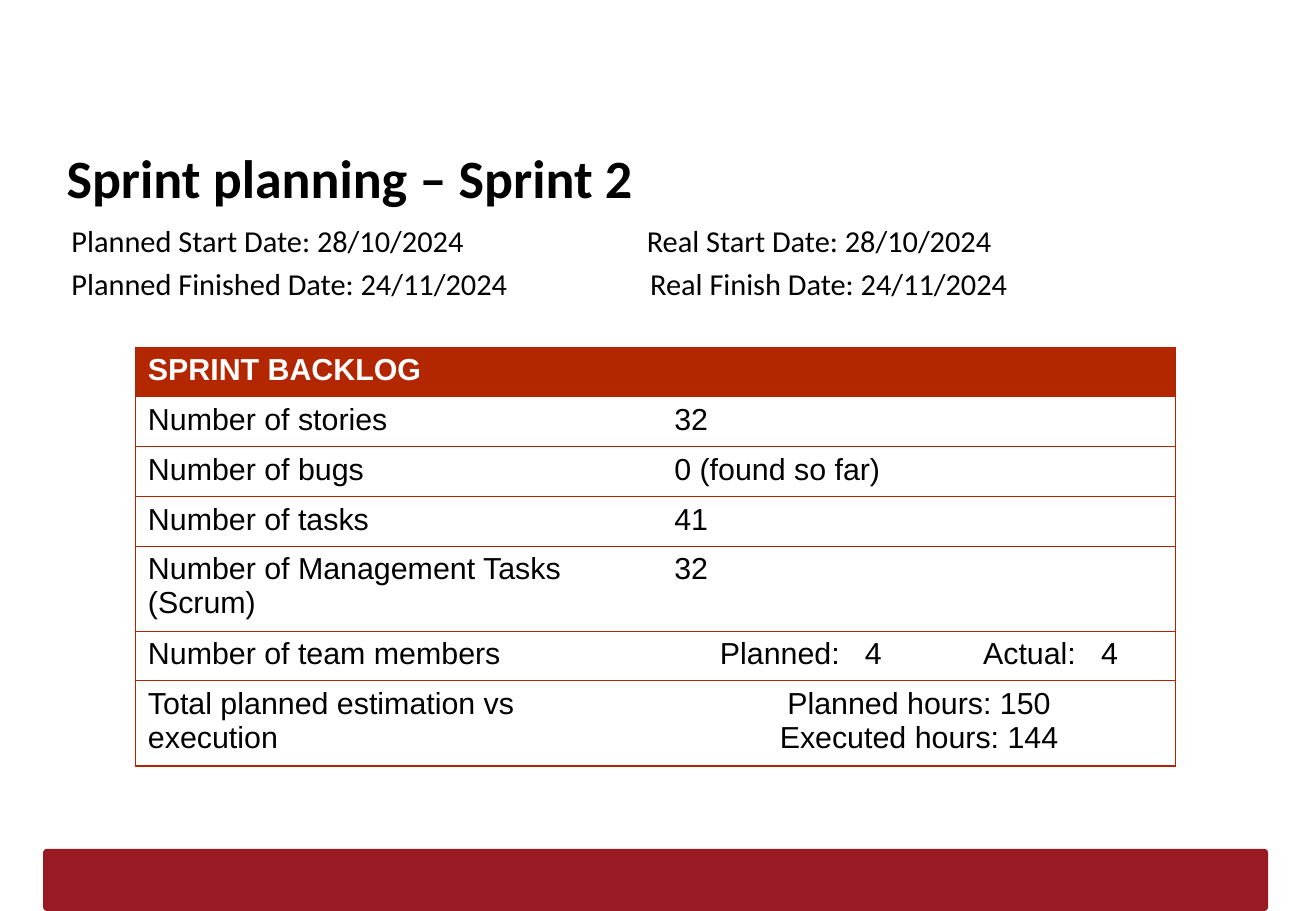
from lxml.etree import SubElement
from pptx import Presentation
from pptx.dml.color import RGBColor
from pptx.enum.shapes import MSO_SHAPE
from pptx.enum.text import MSO_ANCHOR, PP_ALIGN
from pptx.oxml.ns import qn
from pptx.util import Pt

TITLE = "Sprint planning – Sprint 2"
DATES = [
    ("Planned Start Date: 28/10/2024\tReal Start Date: 28/10/2024", [341]),
    ("Planned Finished Date: 24/11/2024\tReal Finish Date: 24/11/2024", [343]),
]
MEMBER_TABS = [27, 113, 183, 253]
BACKLOG = [
    ("SPRINT BACKLOG", []),
    ("Number of stories", ["32"]),
    ("Number of bugs", ["0 (found so far)"]),
    ("Number of tasks", ["41"]),
    ("Number of Management Tasks (Scrum)", ["32"]),
    ("Number of team members", ["\tPlanned:\t4\tActual:\t4"]),
    ("Total planned estimation vs execution", ["Planned hours: 150", "Executed hours: 144"]),
]
COLUMN_WIDTHS = [312, 304.5]
ROW_HEIGHT, TALL_ROW_HEIGHT = 29.5, 48
TALL_ROWS = {4, 6}
BLACK, WHITE = "000000", "FFFFFF"
BORDER, HEADER, FOOTER = "AE2500", "B22600", "9A1A24"


def color(value):
    return RGBColor.from_string(value)


def add_text(paragraph, text, font, size, fill=BLACK, bold=False):
    run = paragraph.add_run()
    run.text = text
    run.font.name, run.font.size, run.font.bold = font, Pt(size), bold
    run.font.color.rgb = color(fill)


def set_tabs(paragraph, stops):
    tab_list = SubElement(paragraph._p.get_or_add_pPr(), qn("a:tabLst"))
    for stop in stops:
        SubElement(tab_list, qn("a:tab"), pos=str(Pt(stop)), algn="l")


def add_text_box(slide, left, top, width, height):
    frame = slide.shapes.add_textbox(Pt(left), Pt(top), Pt(width), Pt(height)).text_frame
    frame.word_wrap = True
    frame.vertical_anchor = MSO_ANCHOR.TOP
    return frame


def set_borders(cell, column):
    properties = cell._tc.get_or_add_tcPr()
    visible = {"lnL": column == 0, "lnR": column == 1, "lnT": True, "lnB": True}
    for index, (side, shown) in enumerate(visible.items()):
        line = SubElement(properties, qn(f"a:{side}"), w=str(Pt(0.75)))
        if shown:
            fill = SubElement(line, qn("a:solidFill"))
            SubElement(fill, qn("a:srgbClr"), val=BORDER)
        else:
            SubElement(line, qn("a:noFill"))
        properties.insert(index, line)


def fill_cell(cell, lines, is_header):
    frame = cell.text_frame
    for index, text in enumerate(lines):
        paragraph = frame.add_paragraph() if index else frame.paragraphs[0]
        if len(lines) > 1:
            paragraph.alignment = PP_ALIGN.CENTER
        if "\t" in text:
            set_tabs(paragraph, MEMBER_TABS)
        add_text(paragraph, text, "Arial", 18, WHITE if is_header else BLACK, is_header)
    if is_header:
        cell.fill.solid()
        cell.fill.fore_color.rgb = color(HEADER)
    else:
        cell.fill.background()


def add_backlog(slide):
    heights = [TALL_ROW_HEIGHT if row in TALL_ROWS else ROW_HEIGHT for row in range(len(BACKLOG))]
    table = slide.shapes.add_table(
        len(BACKLOG), 2, Pt(80.5), Pt(205.8), Pt(sum(COLUMN_WIDTHS)), Pt(sum(heights))
    ).table
    table.horz_banding = False
    for column, width in enumerate(COLUMN_WIDTHS):
        table.columns[column].width = Pt(width)
    for row, (label, values) in enumerate(BACKLOG):
        table.rows[row].height = Pt(heights[row])
        for column, lines in enumerate(([label], values)):
            cell = table.cell(row, column)
            fill_cell(cell, lines, row == 0)
            set_borders(cell, column)


def main():
    presentation = Presentation()
    presentation.slide_width, presentation.slide_height = Pt(780), Pt(540)
    slide = presentation.slides.add_slide(presentation.slide_layouts[6])

    footer = slide.shapes.add_shape(
        MSO_SHAPE.ROUNDED_RECTANGLE, Pt(25.6), Pt(503.2), Pt(726), Pt(36.8)
    )
    footer.adjustments[0] = 0.06
    footer.shadow.inherit = False
    footer.fill.solid()
    footer.fill.fore_color.rgb = color(FOOTER)
    footer.line.fill.background()

    title = add_text_box(slide, 32.4, 78.5, 712, 45.4)
    title.margin_top = title.margin_bottom = Pt(7.2)
    add_text(title.paragraphs[0], TITLE, "Calibri", 32, bold=True)

    add_backlog(slide)

    dates = add_text_box(slide, 35.3, 128.2, 712, 56.2)
    for index, (text, stops) in enumerate(DATES):
        paragraph = dates.add_paragraph() if index else dates.paragraphs[0]
        paragraph.space_after = Pt(4)
        set_tabs(paragraph, stops)
        add_text(paragraph, text, "Calibri", 18)

    presentation.save("out.pptx")


if __name__ == "__main__":
    main()
